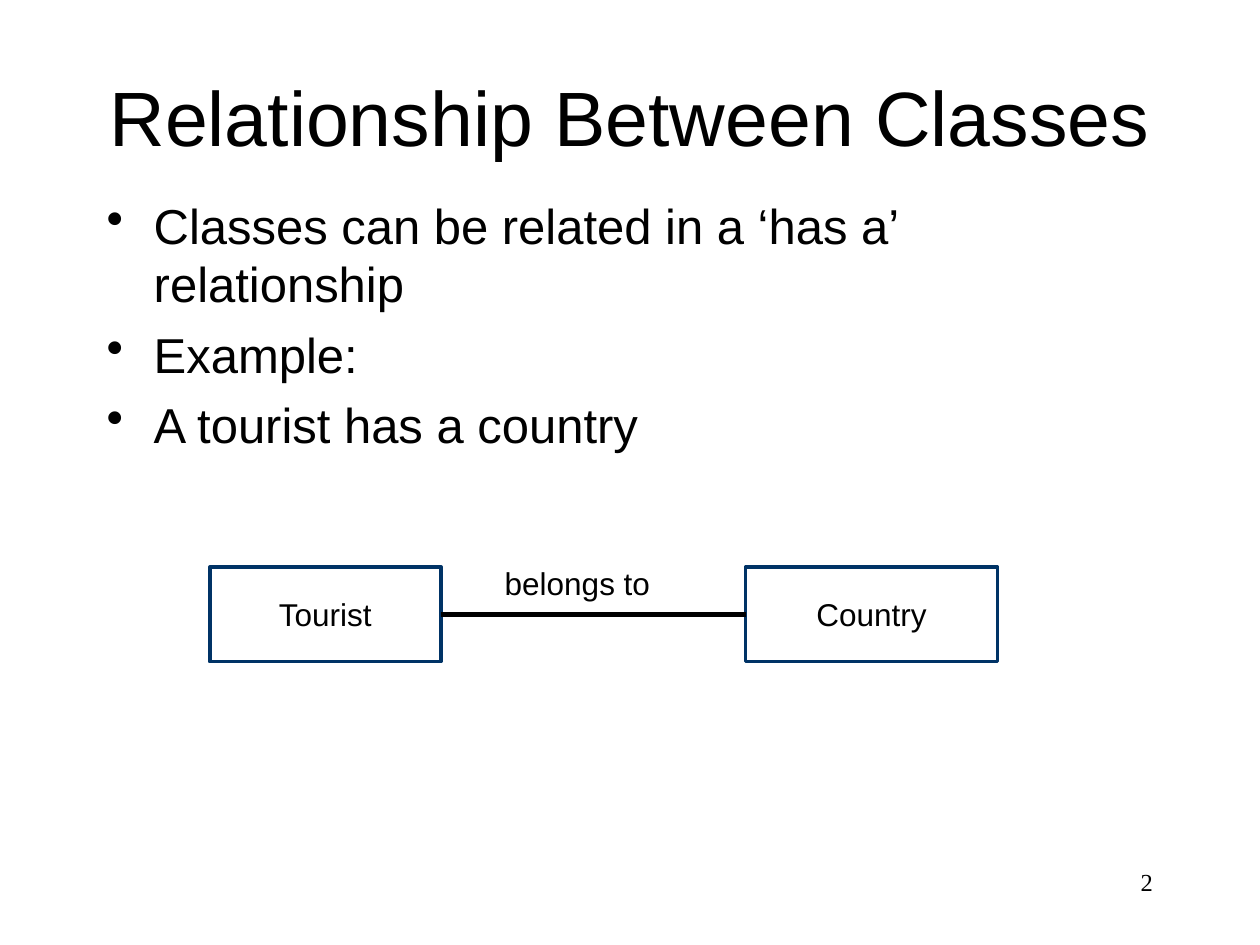
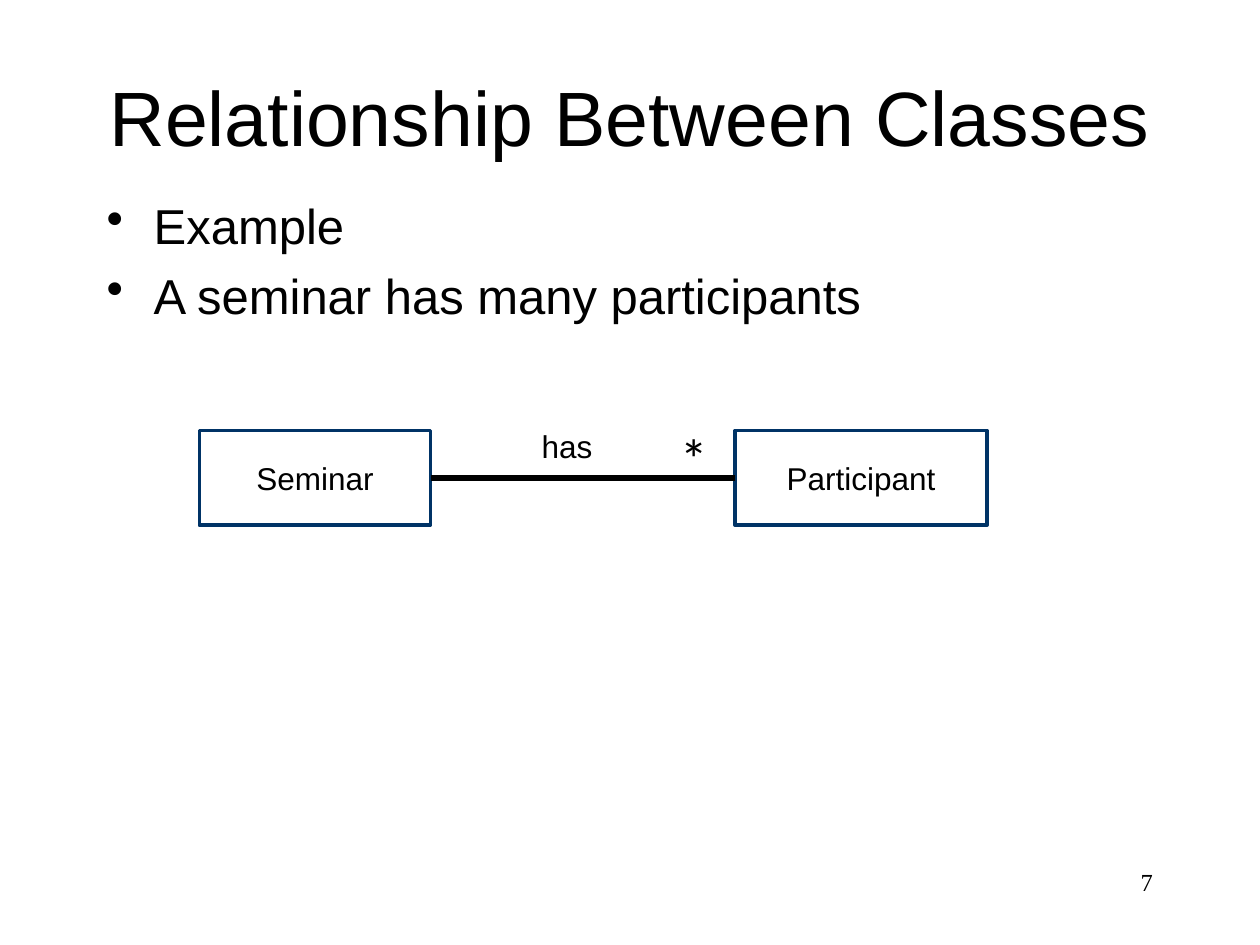
import pptx
import pptx.util
import pptx.dml.color
import pptx.enum.shapes
import pptx.enum.text
import pptx.oxml
import lxml.etree

Cm = pptx.util.Cm
Pt = pptx.util.Pt
ALIGN = pptx.enum.text.PP_ALIGN
ANCHOR = pptx.enum.text.MSO_ANCHOR

COLOURS = {"text": "000000", "frame": "003366", "link": "000000", "page": "FFFFFF"}

# Text styles shared by both slides
STYLES = {
    "title": {"name": "Arial", "size": Pt(44)},
    "body": {"name": "Arial", "size": Pt(28)},
    "diagram": {"name": "Arial", "size": Pt(18)},
    "multiplicity": {"name": "Calibri", "size": Pt(32)},
    "number": {"name": "Times New Roman", "size": Pt(14)},
}
TITLE = "Relationship Between Classes"
BULLET_INDENT = Cm(0.95)

# Class diagram measures, relative to its top left corner
FIRST_WIDTH = Cm(4.66)
SECOND_LEFT = Cm(10.8)
SECOND_WIDTH = Cm(5.08)
CLASS_HEIGHT = Cm(1.91)


def colour(key):
    return pptx.dml.color.RGBColor.from_string(COLOURS[key])


def write(frame, lines, style, align, anchor=ANCHOR.MIDDLE):
    """Fill a text frame with one paragraph per line and return the paragraphs."""
    frame.word_wrap = True
    frame.vertical_anchor = anchor
    for index, line in enumerate(lines):
        para = frame.paragraphs[0] if index == 0 else frame.add_paragraph()
        para.alignment = align
        span = para.add_run()
        span.text = line
        for name, value in STYLES[style].items():
            setattr(span.font, name, value)
        span.font.color.rgb = colour("text")
    return frame.paragraphs


def add_text(page, area, lines, style, align, anchor=ANCHOR.MIDDLE):
    box = page.shapes.add_textbox(*area)
    return write(box.text_frame, lines, style, align, anchor)


def add_bullets(page, lines):
    area = (Cm(1.9), Cm(3.81), Cm(21.59), Cm(12.28))
    for para in add_text(page, area, lines, "body", ALIGN.LEFT, ANCHOR.TOP):
        para.space_before = Pt(6.5)
        properties = para._p.get_or_add_pPr()
        properties.set("marL", str(BULLET_INDENT))
        properties.set("indent", str(-BULLET_INDENT))
        bullet = lxml.etree.SubElement(properties, pptx.oxml.ns.qn("a:buChar"))
        bullet.set("char", "•")


def add_class(page, left, top, width, name):
    rectangle = pptx.enum.shapes.MSO_SHAPE.RECTANGLE
    box = page.shapes.add_shape(rectangle, left, top, width, CLASS_HEIGHT)
    box.shadow.inherit = False
    box.fill.background()
    box.line.color.rgb = colour("frame")
    box.line.width = Pt(2)
    write(box.text_frame, [name], "diagram", ALIGN.CENTER)


def add_link(page, start, end, height):
    straight = pptx.enum.shapes.MSO_CONNECTOR.STRAIGHT
    link = page.shapes.add_connector(straight, start, height, end, height)
    link.line.color.rgb = colour("link")
    link.line.width = Pt(3)
    lxml.etree.SubElement(link._element.spPr, pptx.oxml.ns.qn("a:effectLst"))


def add_diagram(page, left, top, first, second, label):
    """Two classes joined by a labelled association."""
    add_class(page, left, top, FIRST_WIDTH, first)
    add_class(page, left + SECOND_LEFT, top, SECOND_WIDTH, second)
    add_link(page, left + SECOND_LEFT, left + FIRST_WIDTH, top + CLASS_HEIGHT // 2)
    area = (left + Cm(5.08), top - Cm(0.64), FIRST_WIDTH, CLASS_HEIGHT)
    add_text(page, area, [label], "diagram", ALIGN.CENTER)


def add_page(deck, number, bullets):
    """A blank page with background, slide number, title and bullets."""
    page = deck.slides.add_slide(deck.slide_layouts[6])
    page.background.fill.solid()
    page.background.fill.fore_color.rgb = colour("page")
    number_area = (Cm(18.2), Cm(17.36), Cm(5.29), Cm(1.27))
    add_text(page, number_area, [str(number)], "number", ALIGN.RIGHT, ANCHOR.TOP)
    title_area = (Cm(1.48), Cm(0.64), Cm(22.44), Cm(3.39))
    add_text(page, title_area, [TITLE], "title", ALIGN.CENTER)
    add_bullets(page, bullets)
    return page


def main():
    deck = pptx.Presentation()
    deck.slide_width = Cm(25.4)
    deck.slide_height = Cm(19.05)

    # One to one relationship
    page = add_page(deck, 2, [
        "Classes can be related in a ‘has a’ relationship",
        "Example:",
        "A tourist has a country",
    ])
    add_diagram(page, Cm(4.23), Cm(11.43), "Tourist", "Country", "belongs to")

    # One to many relationship
    page = add_page(deck, 7, ["Example", "A seminar has many participants"])
    add_diagram(page, Cm(4.02), Cm(8.68), "Seminar", "Participant", "has")
    star_area = (Cm(13.12), Cm(8.47), Cm(1.4), Cm(1.5))
    add_text(page, star_area, ["*"], "multiplicity", ALIGN.RIGHT)

    deck.save("out.pptx")


if __name__ == "__main__":
    main()
